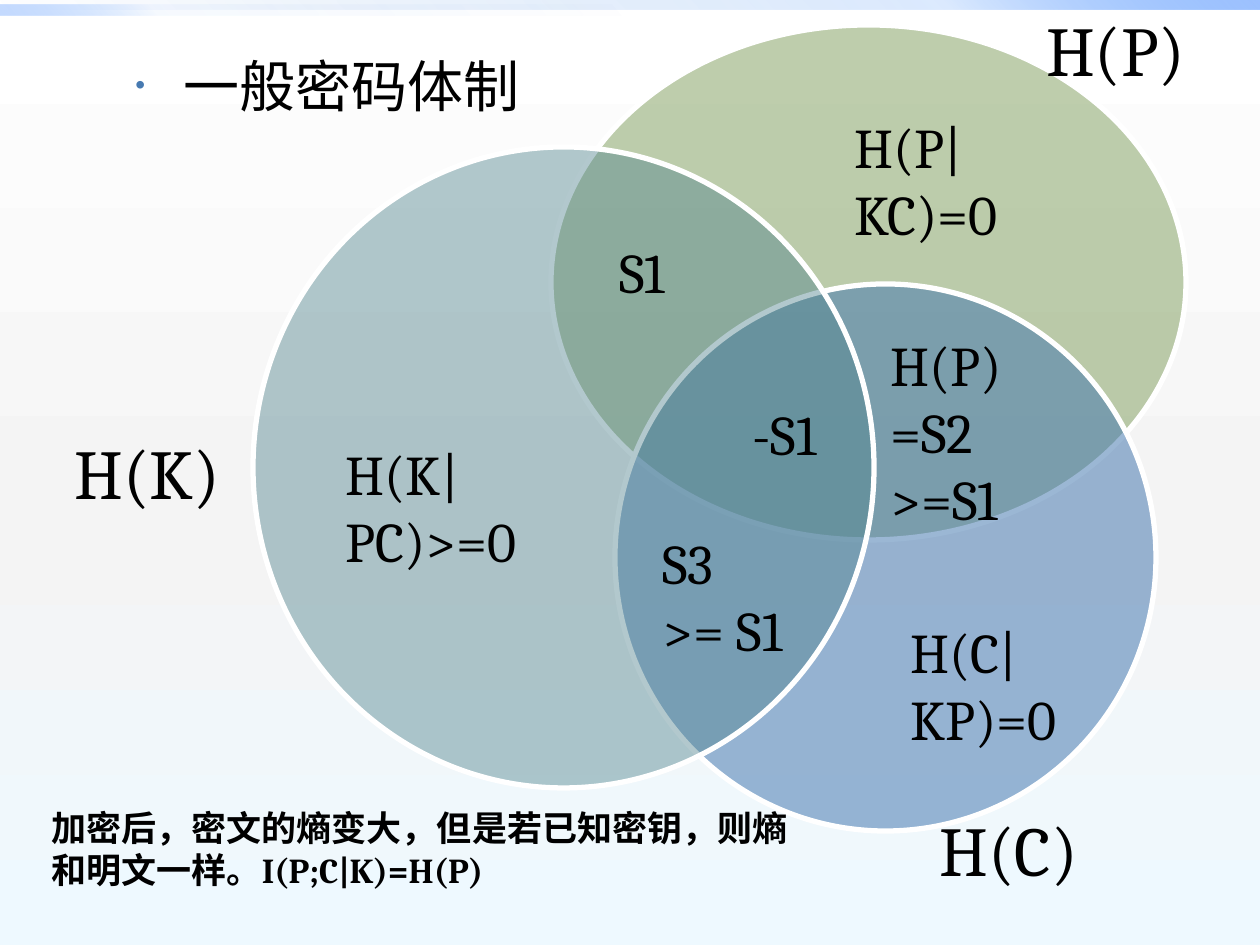
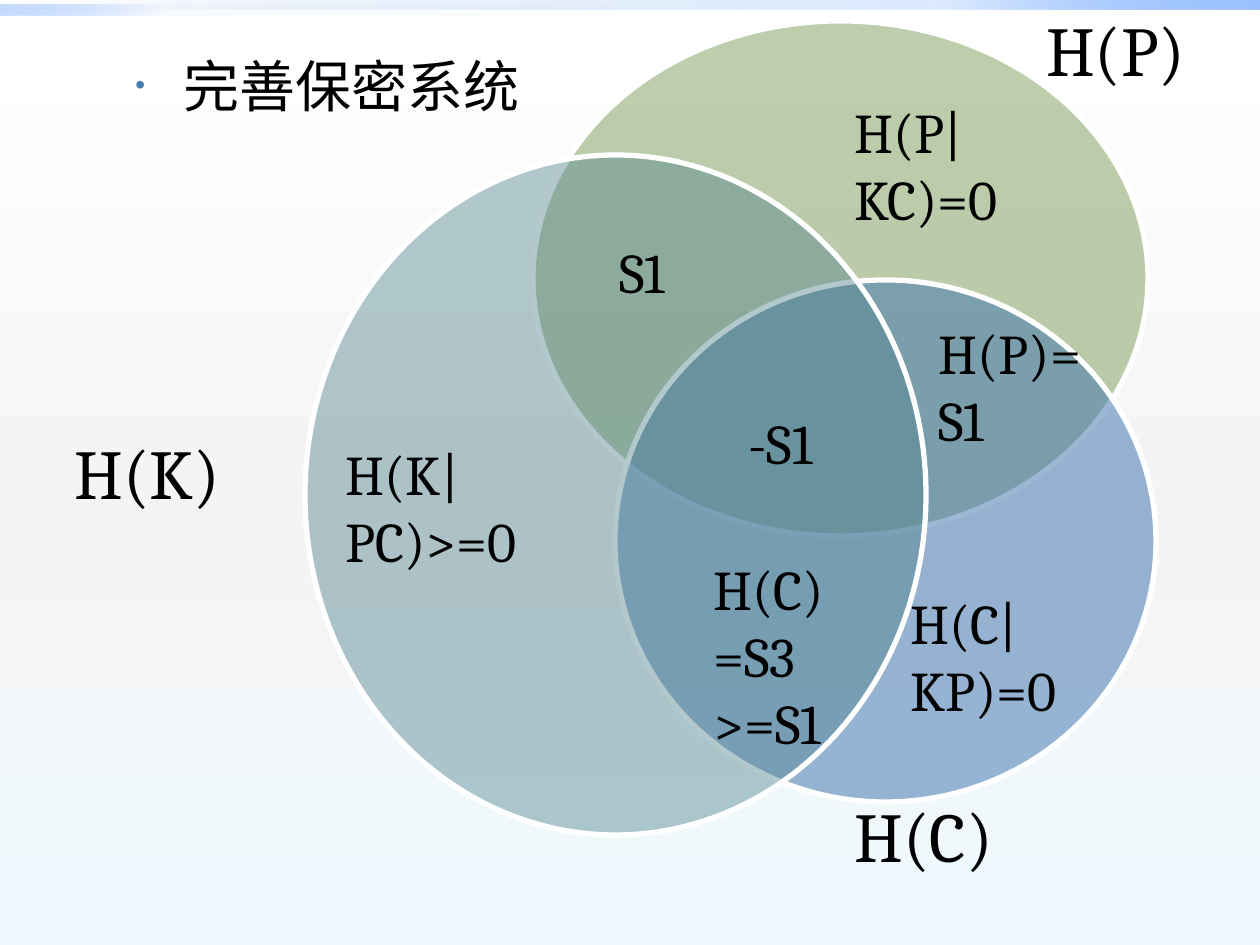
"""Build two entropy Venn diagrams: a general cipher and a perfect secrecy system."""
import pptx
import pptx.dml.color
import pptx.enum.shapes
import pptx.oxml
import pptx.oxml.ns
import pptx.util

SCALE = 914400 / 126
WIDTH, HEIGHT = 1260, 945
FONT = "Cambria"
COLORS = {"text": "000000", "line": "FFFFFF", "bullet": "477AB1",
          "P": "7B9B57", "C": "477AB1", "K": "51848E"}
OPACITY = {"P": 49, "C": 54, "K": 44}
SIZES = {"set": 40, "region": 32, "note": 20}

BACKGROUND = (90, [(0, "FFFFFF", 100), (55, "F4F4F4", 100), (100, "EEF9FF", 100)])
BANDS = [
    ((0, 0, 1260, 10), (315, [(0, "0058B7", 0), (75, "4F95FF", 20), (100, "9EC2FF", 100)])),
    ((0, 5, 630, 10), (135, [(0, "0058B7", 0), (75, "4F95FF", 5), (100, "9EC2FF", 60)])),
]
TITLE_PLACE = (123, 45, 1036, 228)

SHARED_LABELS = [
    ("set", "H(K)", (62, 423, 243, 97)),
    ("set", "H(P)", (1034, 0, 237, 97)),
    ("region", "H(K|PC)>=0", (333, 433, 236, 149)),
    ("region", "S1", (607, 231, 112, 81)),
]
SLIDES = [
    {"title": "一般密码体制",
     "circles": {"P": (551, 25, 635, 515), "C": (615, 284, 541, 547), "K": (253, 147, 621, 641)},
     "labels": [
         ("set", "H(C)", (927, 800, 208, 97)),
         ("region", "H(P|KC)=0", (842, 106, 236, 149)),
         ("region", "H(C|KP)=0", (898, 611, 236, 149)),
         ("region", "-S1", (740, 393, 134, 81)),
         ("region", "H(P)\n=S2\n>=S1", (878, 324, 208, 217)),
         ("region", "S3\n>= S1", (650, 522, 178, 149)),
         ("note", "加密后，密文的熵变大，但是若已知密钥，则熵和明文一样。I(P;C|K)=H(P)",
          (39, 800, 784, 97)),
     ]},
    {"title": "完善保密系统",
     "circles": {"P": (533, 21, 615, 515), "C": (615, 280, 541, 522), "K": (305, 155, 621, 680)},
     "labels": [
         ("set", "H(C)", (842, 786, 388, 97)),
         ("region", "H(P|KC)=0", (842, 91, 236, 149)),
         ("region", "H(C|KP)=0", (898, 582, 236, 149)),
         ("region", "-S1", (736, 402, 134, 81)),
         ("region", "H(P)=S1", (926, 312, 171, 149)),
         ("region", "H(C)\n=S3\n>=S1", (701, 548, 168, 217)),
     ]},
]


def emu(pixels):
    return pptx.util.Emu(round(pixels * SCALE))


def rgb(name):
    return pptx.dml.color.RGBColor.from_string(COLORS[name])


def element(xml):
    tag, rest = xml[1:].split(" ", 1)
    return pptx.oxml.parse_xml(f"<{tag} {pptx.oxml.ns.nsdecls('a')} {rest}")


def set_gradient(fill, owner, gradient):
    angle, stops = gradient
    fill.gradient()
    colors = "".join(
        f'<a:gs pos="{position * 1000}"><a:srgbClr val="{color}">'
        f'<a:alpha val="{alpha * 1000}"/></a:srgbClr></a:gs>'
        for position, color, alpha in stops)
    old = owner.find(".//" + pptx.oxml.ns.qn("a:gradFill"))
    old.getparent().replace(old, element(
        f'<a:gradFill rotWithShape="1"><a:gsLst>{colors}</a:gsLst>'
        f'<a:lin ang="{angle * 60000}" scaled="0"/></a:gradFill>'))


def add_shape(page, kind, place):
    shape = page.shapes.add_shape(kind, *map(emu, place))
    shape.shadow.inherit = False
    return shape


def add_frame(page):
    set_gradient(page.background.fill, page.element, BACKGROUND)
    for place, gradient in BANDS:
        band = add_shape(page, pptx.enum.shapes.MSO_SHAPE.RECTANGLE, place)
        band.line.fill.background()
        set_gradient(band.fill, band.element, gradient)


def add_circle(page, name, place):
    circle = add_shape(page, pptx.enum.shapes.MSO_SHAPE.OVAL, place)
    circle.fill.solid()
    circle.fill.fore_color.rgb = rgb(name)
    color = circle.element.spPr.find(".//" + pptx.oxml.ns.qn("a:srgbClr"))
    color.append(element(f'<a:alpha val="{OPACITY[name] * 1000}"/>'))
    circle.line.color.rgb = rgb("line")
    circle.line.width = pptx.util.Pt(3)


def add_text(page, role, text, place):
    box = page.shapes.add_textbox(*map(emu, place))
    box.text_frame.word_wrap = True
    box.text_frame.text = text
    for para in box.text_frame.paragraphs:
        for span in para.runs:
            span.font.name = FONT
            span.font.size = pptx.util.Pt(SIZES[role])
            span.font.bold = role == "note"
            span.font.color.rgb = rgb("text")
    return box


def add_title(page, text):
    para = add_text(page, "region", text, TITLE_PLACE).text_frame.paragraphs[0]
    para.space_before = pptx.util.Pt(6.4)
    properties = para._p.get_or_add_pPr()
    properties.set("marL", str(emu(48)))
    properties.set("indent", str(-emu(48)))
    for xml in (f'<a:buClr ><a:srgbClr val="{COLORS["bullet"]}"/></a:buClr>',
                '<a:buSzPct val="50000"/>', '<a:buFont typeface="Arial"/>',
                '<a:buChar char="•"/>'):
        properties.append(element(xml.replace("<a:buClr >", "<a:buClr  >")))


deck = pptx.Presentation()
deck.slide_width, deck.slide_height = emu(WIDTH), emu(HEIGHT)
for content in SLIDES:
    page = deck.slides.add_slide(deck.slide_layouts[6])
    add_frame(page)
    add_title(page, content["title"])
    for name, place in content["circles"].items():
        add_circle(page, name, place)
    for role, text, place in SHARED_LABELS + content["labels"]:
        add_text(page, role, text, place)
deck.save("out.pptx")
